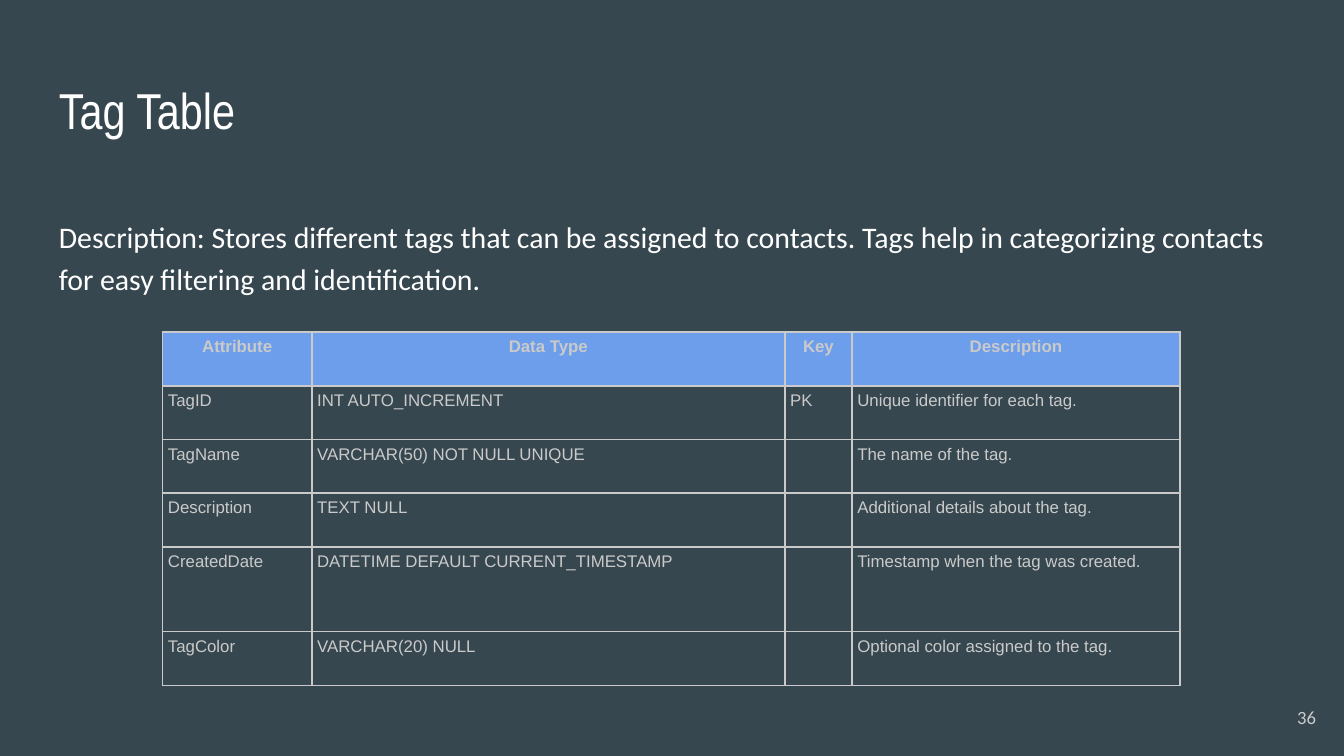
from lxml.etree import SubElement
from pptx import Presentation
from pptx.dml.color import RGBColor
from pptx.enum.text import MSO_ANCHOR, PP_ALIGN
from pptx.oxml.ns import qn
from pptx.util import Inches, Pt

SLATE = RGBColor(0x37, 0x47, 0x4F)
WHITE = RGBColor(0xFF, 0xFF, 0xFF)
GREY = RGBColor(0xCA, 0xCA, 0xCA)
BLUE = RGBColor(0x6D, 0x9E, 0xEB)

HEAD = ["Attribute", "Data Type", "Key", "Description"]
ROWS = [
    ["TagID", "INT AUTO_INCREMENT", "PK", "Unique identifier for each tag."],
    ["TagName", "VARCHAR(50) NOT NULL UNIQUE", "", "The name of the tag."],
    ["Description", "TEXT NULL", "", "Additional details about the tag."],
    ["CreatedDate", "DATETIME DEFAULT CURRENT_TIMESTAMP", "",
     "Timestamp when the tag was created."],
    ["TagColor", "VARCHAR(20) NULL", "", "Optional color assigned to the tag."],
]
WIDTHS = [11.1, 35.2, 5, 24.4]
HEIGHTS = [4, 4, 4, 4, 6.3, 4]


class Deck:
    cell_size = 9
    cell_pad = 0.4
    box_pad = 1

    def __init__(self, cols, rows):
        self.file = Presentation()
        self.file.slide_width = self.unit(cols)
        self.file.slide_height = self.unit(rows)
        self.slide = self.file.slides.add_slide(self.file.slide_layouts[6])
        fill = self.slide.background.fill
        fill.solid()
        fill.fore_color.rgb = SLATE

    def unit(self, count):
        return Inches(count / 10)

    def pad(self, item, size):
        item.margin_left = item.margin_right = self.unit(size)
        item.margin_top = item.margin_bottom = self.unit(size)

    def style(self, para, font, size, color, bold=False, align=PP_ALIGN.LEFT):
        para.alignment = align
        for run in para.runs:
            run.font.name = font
            run.font.size = Pt(size)
            run.font.bold = bold
            run.font.color.rgb = color

    def text(self, words, area, font, size, color=WHITE, align=PP_ALIGN.LEFT,
             anchor=MSO_ANCHOR.TOP, space=1):
        box = self.slide.shapes.add_textbox(*map(self.unit, area))
        frame = box.text_frame
        frame.word_wrap = True
        frame.vertical_anchor = anchor
        self.pad(frame, self.box_pad)
        frame.text = words
        para = frame.paragraphs[0]
        para.line_spacing = space
        self.style(para, font, size, color, align=align)

    def edge(self, cell):
        props = cell._tc.get_or_add_tcPr()
        for side in ("lnL", "lnR", "lnT", "lnB"):
            line = SubElement(props, qn("a:" + side), w=str(Pt(1)))
            fill = SubElement(line, qn("a:solidFill"))
            SubElement(fill, qn("a:srgbClr"), val=str(GREY))

    def cell(self, cell, words, head):
        self.edge(cell)
        if head:
            cell.fill.solid()
            cell.fill.fore_color.rgb = BLUE
        else:
            cell.fill.background()
        self.pad(cell, self.cell_pad)
        cell.text_frame.text = words
        para = cell.text_frame.paragraphs[0]
        para.space_before = Pt(3)
        align = PP_ALIGN.CENTER if head else PP_ALIGN.LEFT
        self.style(para, "Arial", self.cell_size, GREY, head, align)

    def table(self, rows, left, top, widths, heights):
        area = (left, top, sum(widths), sum(heights))
        grid = self.slide.shapes.add_table(
            len(rows), len(widths), *map(self.unit, area)).table
        grid.first_row = grid.horz_banding = False
        for col, width in zip(grid.columns, widths):
            col.width = self.unit(width)
        for row, height in zip(grid.rows, heights):
            row.height = self.unit(height)
        for r, row in enumerate(rows):
            for c, words in enumerate(row):
                self.cell(grid.cell(r, c), words, r == 0)

    def save(self):
        self.file.save("out.pptx")


def main():
    deck = Deck(100, 56.25)
    deck.text("Tag Table", (3.4, 4.9, 93.2, 6.3), "Arial Narrow", 27)
    deck.text("Description: Stores different tags that can be assigned to contacts. "
              "Tags help in categorizing contacts for easy filtering and identification.",
              (3.4, 14.9, 93.2, 16.2), "Calibri", 16, space=1.15)
    deck.table([HEAD] + ROWS, 12.1, 24.7, WIDTHS, HEIGHTS)
    deck.text("36", (92.9, 51.2, 6, 4.3), "Calibri", 10, GREY,
              PP_ALIGN.RIGHT, MSO_ANCHOR.MIDDLE)
    deck.save()


if __name__ == "__main__":
    main()
